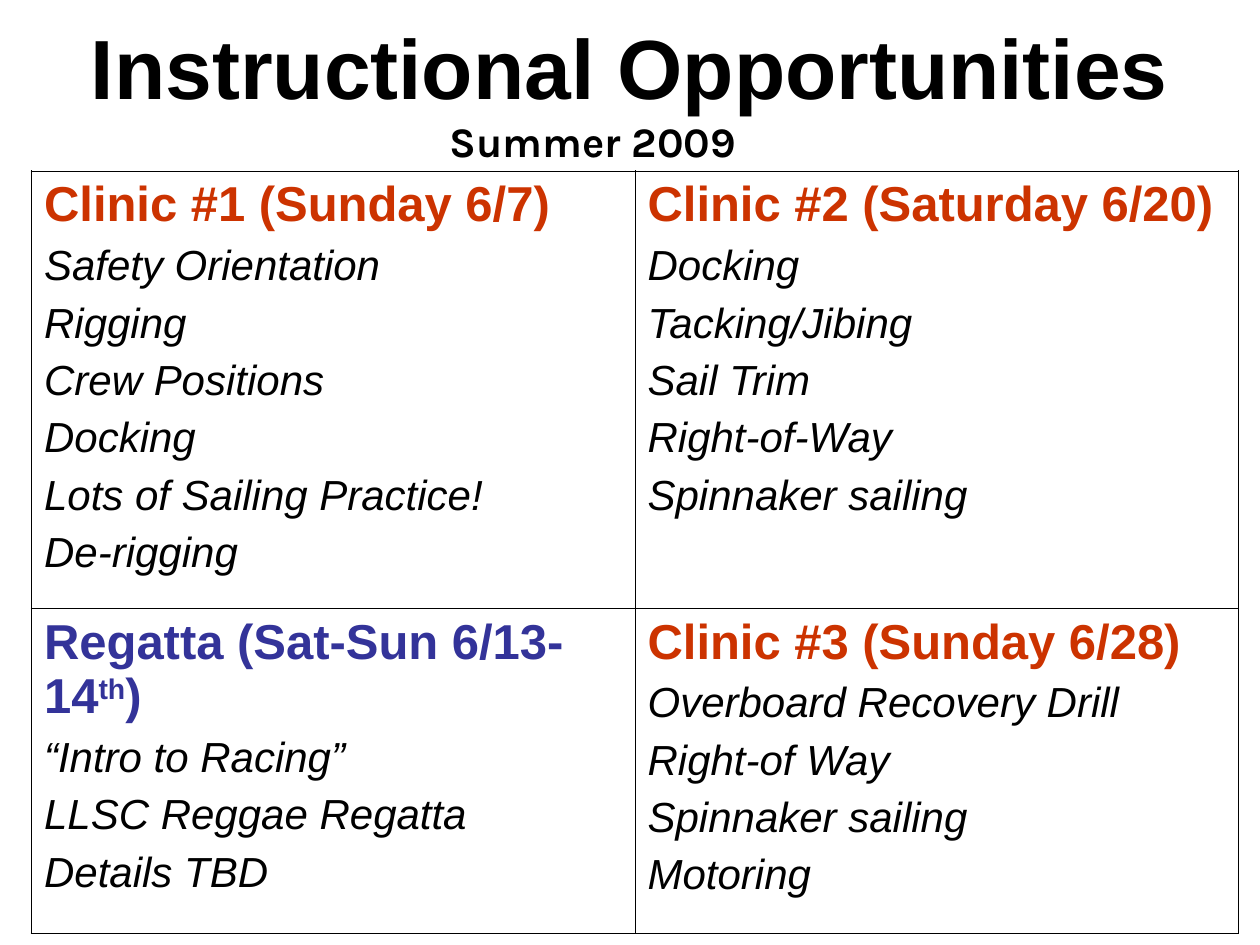
from dataclasses import dataclass

from lxml import etree
from pptx import Presentation
from pptx import util as u
from pptx.dml.color import RGBColor
from pptx.enum import text
from pptx.oxml import ns

WIDTH, HEIGHT = 10, 7.5
COLUMNS = (4.79, 4.79)
ROWS = (3.47, 2.58)
OUTER, INNER = 1.08, 0.45
BLACK, RED, BLUE = "000000", "CC3300", "333399"


@dataclass
class Event:
    heading: tuple[str, ...]
    topics: tuple[str, ...]
    color: str = RED


EVENTS = (
    (
        Event(("Clinic #1 (Sunday 6/7)",),
              ("Safety Orientation", "Rigging", "Crew Positions", "Docking",
               "Lots of Sailing Practice!", "De-rigging")),
        Event(("Clinic #2 (Saturday 6/20)",),
              ("Docking", "Tacking/Jibing", "Sail Trim", "Right-of-Way",
               "Spinnaker sailing")),
    ),
    (
        Event(("Regatta (Sat-Sun 6/13-14", "th", ")"),
              ("“Intro to Racing”", "LLSC Reggae Regatta", "Details TBD"), BLUE),
        Event(("Clinic #3 (Sunday 6/28)",),
              ("Overboard Recovery Drill", "Right-of Way", "Spinnaker sailing",
               "Motoring")),
    ),
)


def rgb(value: str) -> RGBColor:
    return RGBColor.from_string(value)


def style(r, size: float, color: str = BLACK, name: str = "Arial",
          bold: bool = False, italic: bool = False) -> None:
    f = r.font
    f.name, f.size, f.bold, f.italic = name, u.Pt(size), bold, italic
    f.color.rgb = rgb(color)


def write_heading(sp, words: str, size: float, name: str, inset: float) -> None:
    tf = sp.text_frame
    tf.text = words
    tf.word_wrap = True
    tf.auto_size = text.MSO_AUTO_SIZE.NONE
    tf.vertical_anchor = text.MSO_ANCHOR.TOP
    tf.margin_top = u.Inches(inset)
    p = tf.paragraphs[0]
    p.alignment = text.PP_ALIGN.CENTER
    style(p.runs[0], size, name=name, bold=True)


def place(sp, left: float, top: float, width: float, height: float) -> None:
    sp.left, sp.top = u.Inches(left), u.Inches(top)
    sp.width, sp.height = u.Inches(width), u.Inches(height)


def add_borders(cell, row: int, col: int) -> None:
    edges = {
        "L": col == 0,
        "R": col == len(COLUMNS) - 1,
        "T": row == 0,
        "B": row == len(ROWS) - 1,
    }
    tcPr = cell._tc.get_or_add_tcPr()
    for i, (side, outer) in enumerate(edges.items()):
        ln = etree.Element(ns.qn(f"a:ln{side}"),
                           w=str(u.Pt(OUTER if outer else INNER)))
        fill = etree.SubElement(ln, ns.qn("a:solidFill"))
        etree.SubElement(fill, ns.qn("a:srgbClr"), val=BLACK)
        tcPr.insert(i, ln)


def write_event(cell, event: Event) -> None:
    tf = cell.text_frame
    p = tf.paragraphs[0]
    for i, words in enumerate(event.heading):
        r = p.add_run()
        r.text = words
        style(r, 28, event.color, bold=True)
        if i == 1:
            r._r.get_or_add_rPr().set("baseline", "30000")
    for topic in event.topics:
        p = tf.add_paragraph()
        p.text = topic
        p.space_before = u.Pt(6)
        style(p.runs[0], 24, italic=True)


def add_schedule(s) -> None:
    frame = s.shapes.add_table(
        len(ROWS), len(COLUMNS), u.Inches(0.25), u.Inches(1.36),
        u.Inches(sum(COLUMNS)), u.Inches(sum(ROWS)))
    table = frame.table
    table.first_row = table.horz_banding = False
    for column, width in zip(table.columns, COLUMNS):
        column.width = u.Inches(width)
    for row, height in zip(table.rows, ROWS):
        row.height = u.Inches(height)
    for i, events in enumerate(EVENTS):
        for j, event in enumerate(events):
            cell = table.cell(i, j)
            cell.fill.background()
            add_borders(cell, i, j)
            write_event(cell, event)


def main() -> None:
    prs = Presentation()
    prs.slide_width, prs.slide_height = u.Inches(WIDTH), u.Inches(HEIGHT)
    s = prs.slides.add_slide(prs.slide_layouts[5])
    title = s.shapes.title
    place(title, 0, 0, WIDTH, 0.12 * HEIGHT)
    write_heading(title, "Instructional Opportunities", 48, "Arial", 0.12)
    season = s.shapes.add_textbox(0, 0, 0, 0)
    place(season, 3.08, 0.83, 3.25, 0.5)
    write_heading(season, "Summer 2009", 24, "Karla", 0.09)
    add_schedule(s)
    prs.save("out.pptx")


if __name__ == "__main__":
    main()
